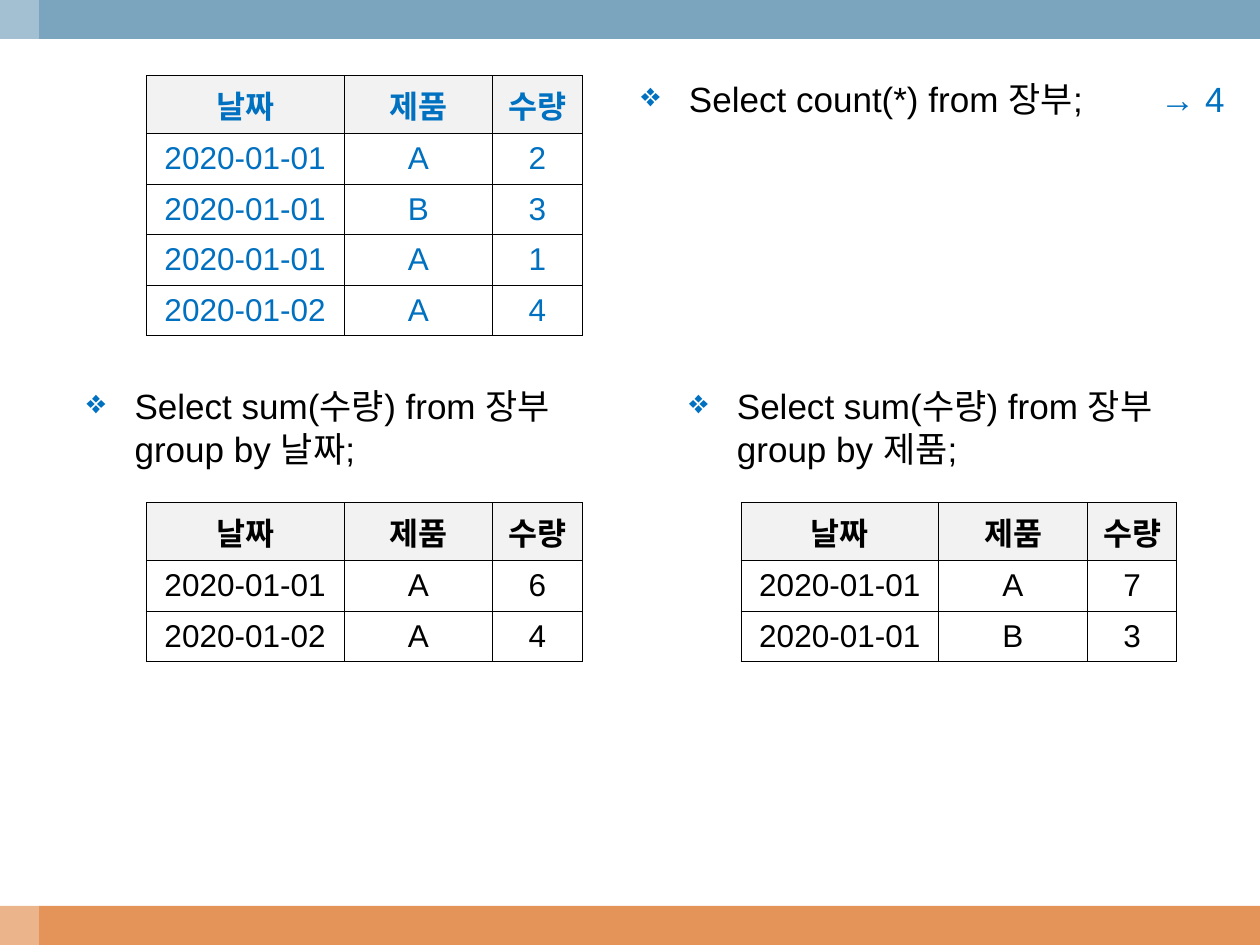
from lxml import etree
from pptx import Presentation
from pptx.dml.color import RGBColor
from pptx.enum.shapes import MSO_SHAPE
from pptx.enum.text import MSO_ANCHOR, PP_ALIGN
from pptx.oxml.ns import qn
from pptx.util import Inches, Pt

RECTANGLE = MSO_SHAPE.RECTANGLE
MIDDLE = MSO_ANCHOR.MIDDLE
CENTER = PP_ALIGN.CENTER

FONT = "Arial"
BLUE = "0070C0"
BLACK = "000000"
HEADER_FILL = "F2F2F2"
HANG = 0.38

BANDS = [
    (0, 7.19, 10, 0.31, "E49458", None),
    (0, 0, 10, 0.31, "7BA5BE", None),
    (0, 0, 0.31, 7.5, "FFFFFF", 30),
]
QUERIES = [
    (4.99, 0.6, 4.83, 0.5, [[("Select count(*) from 장부;", BLACK), ("\t→ 4", BLUE)]]),
    (0.59, 3.04, 4.24, 0.84,
     [[("Select sum(수량) from 장부", BLACK)], [("group by 날짜;", BLACK)]]),
    (5.37, 3.04, 4.08, 0.84,
     [[("Select sum(수량) from 장부", BLACK)], [("group by 제품;", BLACK)]]),
]
HEADERS = ("날짜", "제품", "수량")
COLUMN_WIDTHS = (1.57, 1.18, 0.71)
HEADER_HEIGHT = 0.46
TABLES = [
    (1.16, 0.6, 0.39, BLUE, [
        ("2020-01-01", "A", "2"),
        ("2020-01-01", "B", "3"),
        ("2020-01-01", "A", "1"),
        ("2020-01-02", "A", "4"),
    ]),
    (1.16, 3.99, 0.38, BLACK, [("2020-01-01", "A", "6"), ("2020-01-02", "A", "4")]),
    (5.88, 3.99, 0.38, BLACK, [("2020-01-01", "A", "7"), ("2020-01-01", "B", "3")]),
]


def color(value):
    return RGBColor.from_string(value)


def add_element(parent, tag, **attributes):
    return etree.SubElement(parent, qn(tag), attributes)


def add_span(para, text, size, hue, bold=False):
    span = para.add_run()
    span.text = text
    for name, value in {"name": FONT, "size": Pt(size), "bold": bold}.items():
        setattr(span.font, name, value)
    span.font.color.rgb = color(hue)


def add_band(page, left, top, width, height, fill, opacity):
    band = page.shapes.add_shape(RECTANGLE, *map(Inches, (left, top, width, height)))
    band.shadow.inherit = False
    band.line.fill.background()
    band.fill.solid()
    band.fill.fore_color.rgb = color(fill)
    if opacity:
        hue = band.fill._xPr.find(".//" + qn("a:srgbClr"))
        add_element(hue, "a:alpha", val=str(opacity * 1000))


def add_bullet(properties):
    hue = add_element(properties, "a:buClr")
    add_element(hue, "a:srgbClr", val=BLUE)
    add_element(properties, "a:buSzPct", val="95000")
    add_element(properties, "a:buChar", char="❖")
    tabs = add_element(properties, "a:tabLst")
    add_element(tabs, "a:tab", pos=str(Inches(4.12)), algn="l")


def add_query(page, left, top, width, height, lines):
    box = page.shapes.add_textbox(*map(Inches, (left, top, width, height)))
    frame = box.text_frame
    frame.word_wrap = True
    for index, spans in enumerate(lines):
        para = frame.add_paragraph() if index else frame.paragraphs[0]
        para.line_spacing = 0.9
        para.space_before = Pt(3 if index else 0)
        properties = para._p.get_or_add_pPr()
        properties.set("marL", str(Inches(HANG)))
        properties.set("indent", str(0 if index else -Inches(HANG)))
        if index == 0:
            add_bullet(properties)
        for text, hue in spans:
            add_span(para, text, 20, hue)


def add_borders(cell):
    properties = cell._tc.get_or_add_tcPr()
    for side in ("a:lnL", "a:lnR", "a:lnT", "a:lnB"):
        line = add_element(properties, side, w=str(Pt(0.45)))
        fill = add_element(line, "a:solidFill")
        add_element(fill, "a:srgbClr", val=BLACK)


def add_ledger(page, left, top, row_height, hue, records):
    rows = [HEADERS, *records]
    heights = [HEADER_HEIGHT] + [row_height] * len(records)
    size = (left, top, sum(COLUMN_WIDTHS), sum(heights))
    table = page.shapes.add_table(len(rows), len(HEADERS), *map(Inches, size)).table
    table.first_row = table.horz_banding = False
    for column, width in zip(table.columns, COLUMN_WIDTHS):
        column.width = Inches(width)
    for row_index, (values, height) in enumerate(zip(rows, heights)):
        table.rows[row_index].height = Inches(height)
        is_header = row_index == 0
        for column_index, value in enumerate(values):
            cell = table.cell(row_index, column_index)
            cell.vertical_anchor = MIDDLE
            add_borders(cell)
            if is_header:
                cell.fill.solid()
                cell.fill.fore_color.rgb = color(HEADER_FILL)
            else:
                cell.fill.background()
            para = cell.text_frame.paragraphs[0]
            para.alignment = CENTER
            add_span(para, value, 18, hue, is_header)


def main():
    deck = Presentation()
    deck.slide_width, deck.slide_height = Inches(10), Inches(7.5)
    page = deck.slides.add_slide(deck.slide_layouts[6])
    for band in BANDS:
        add_band(page, *band)
    for query in QUERIES:
        add_query(page, *query)
    for ledger in TABLES:
        add_ledger(page, *ledger)
    deck.save("out.pptx")


if __name__ == "__main__":
    main()
